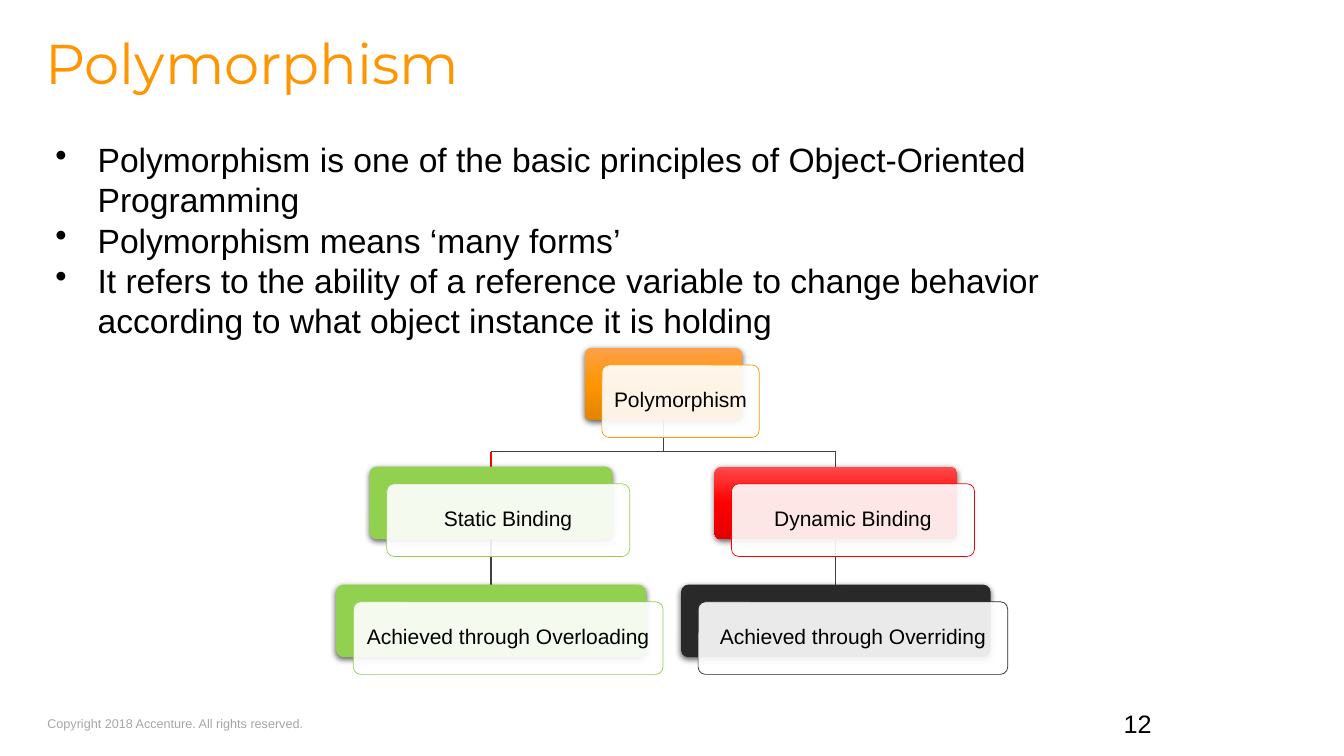
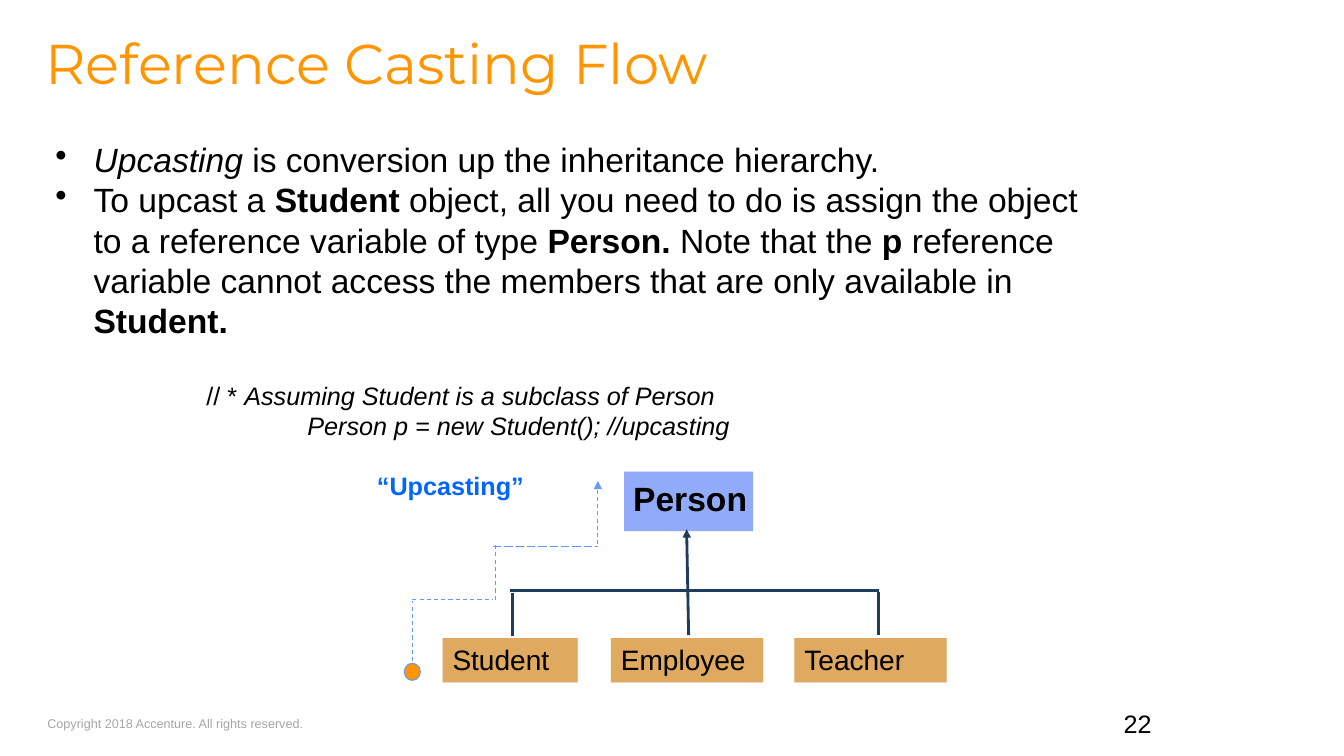
import copy
from typing import NamedTuple, Optional

import lxml.etree
import pptx
import pptx.dml.color
import pptx.enum.dml
import pptx.enum.shapes
import pptx.enum.text
import pptx.oxml.ns
import pptx.util

Inches = pptx.util.Inches
Pt = pptx.util.Pt
RGBColor = pptx.dml.color.RGBColor
Align = pptx.enum.text.PP_ALIGN
Anchor = pptx.enum.text.MSO_ANCHOR
Preset = pptx.enum.shapes.MSO_SHAPE
Dash = pptx.enum.dml.MSO_LINE
qn = pptx.oxml.ns.qn

BLACK = RGBColor(0x00, 0x00, 0x00)
WHITE = RGBColor(0xFF, 0xFF, 0xFF)
ORANGE = RGBColor(0xFF, 0x95, 0x00)
ORANGE_LIGHT = RGBColor(0xFF, 0xA0, 0x4B)
ORANGE_DARK = RGBColor(0xE3, 0x84, 0x00)
RED = RGBColor(0xFF, 0x00, 0x00)
RED_LIGHT = RGBColor(0xFF, 0x4B, 0x4B)
RED_DARK = RGBColor(0xE3, 0x00, 0x00)
GREEN = RGBColor(0x92, 0xD0, 0x50)
CHARCOAL = RGBColor(0x29, 0x29, 0x29)
TREE_LINE = RGBColor(0x40, 0x40, 0x40)
FOOTER_GRAY = RGBColor(0xA6, 0xA6, 0xA6)
SHADOW_GRAY = RGBColor(0x80, 0x80, 0x80)
SHADOW_PALE = RGBColor(0xE7, 0xE6, 0xE6)
PERSON_BLUE = RGBColor(0x33, 0x66, 0xFF)
LABEL_BLUE = RGBColor(0x00, 0x66, 0xFF)
FLOW_BLUE = RGBColor(0x66, 0x99, 0xFF)
NAVY = RGBColor(0x1E, 0x3D, 0x5C)

BODY_FONT = "Arial"
TITLE_FONT = "Montserrat"


class Box(NamedTuple):
    left: float
    top: float
    width: float
    height: float

    def lengths(self) -> list:
        return [Inches(value) for value in self]


class Span(NamedTuple):
    text: str
    bold: bool = False
    italic: bool = False


class Paragraph(NamedTuple):
    spans: list[Span]
    size: float = 24
    color: RGBColor = BLACK
    font: str = BODY_FONT
    align: Align = Align.LEFT
    line_spacing: float = 1.0
    space_before: float = 0
    margin: float = 0
    hanging: float = 0


class Shadow(NamedTuple):
    color: RGBColor
    opacity: int
    blur: float = 0
    distance: float = 0
    angle: int = 0


class Node(NamedTuple):
    text: str
    center: float
    row: int
    width: float
    color: RGBColor
    shades: Optional[tuple[RGBColor, RGBColor]] = None


class Stroke(NamedTuple):
    color: RGBColor
    width: float
    dash: Optional[Dash] = None


class Segment(NamedTuple):
    x1: float
    y1: float
    x2: float
    y2: float
    stroke: Stroke
    arrow: bool = False


class ClassBox(NamedTuple):
    name: str
    left: float
    width: float


TITLE_BOX = Box(0.45, 0.41, 8.32, 1.09)
COPYRIGHT_BOX = Box(0.47, 7.05, 2.57, 0.25)
NUMBER_BOX = Box(9.67, 7.08, 1.85, 0.3)

NODE_HEIGHT = 0.72
NODE_SHIFT = 0.17
ROW_TOPS = [3.45, 4.63, 5.8]
ROOT_X, STATIC_X, DYNAMIC_X = 6.58, 4.87, 8.29
NODE_SHADOW = Shadow(BLACK, 63, 4.5, 1.5, 90)
NODES = [
    Node("Polymorphism", ROOT_X, 0, 1.56, ORANGE, (ORANGE_LIGHT, ORANGE_DARK)),
    Node("Static Binding", STATIC_X, 1, 2.41, GREEN),
    Node("Achieved through Overloading", STATIC_X, 2, 3.07, GREEN),
    Node("Dynamic Binding", DYNAMIC_X, 1, 2.41, RED, (RED_LIGHT, RED_DARK)),
    Node("Achieved through Overriding", DYNAMIC_X, 2, 3.07, CHARCOAL),
]
CLASS_BOXES = [
    ClassBox("Student", 4.39, 1.34),
    ClassBox("Employee", 6.06, 1.51),
    ClassBox("Teacher", 7.88, 1.51),
]


def write(frame, paragraphs: list[Paragraph], insets: tuple = (0.1, 0.05),
          anchor: Anchor = Anchor.TOP, wrap: bool = True) -> None:
    frame.word_wrap = wrap
    frame.vertical_anchor = anchor
    frame.margin_left = frame.margin_right = Inches(insets[0])
    frame.margin_top = frame.margin_bottom = Inches(insets[1])
    for index, content in enumerate(paragraphs):
        para = frame.add_paragraph() if index else frame.paragraphs[0]
        properties = para._p.get_or_add_pPr()
        properties.set("marL", str(Inches(content.margin)))
        properties.set("indent", str(-Inches(content.hanging)))
        if content.hanging:
            lxml.etree.SubElement(properties, qn("a:buChar")).set("char", "•")
        para.alignment = content.align
        para.line_spacing = content.line_spacing
        para.space_before = Pt(content.space_before)
        para.font.size = Pt(content.size)
        for part in content.spans:
            span = para.add_run()
            span.text = part.text
            span.font.name = content.font
            span.font.size = Pt(content.size)
            span.font.color.rgb = content.color
            span.font.bold = part.bold
            span.font.italic = part.italic


def add_text(page, box: Box, paragraphs: list[Paragraph], **options) -> None:
    write(page.shapes.add_textbox(*box.lengths()).text_frame, paragraphs, **options)


def set_opacity(color_element, percent: int) -> None:
    lxml.etree.SubElement(color_element, qn("a:alpha")).set("val", str(percent * 1000))


def add_shape(page, preset: Preset, box: Box, fill: RGBColor, opacity: int = 100,
              stroke: Optional[Stroke] = None, shadow: Optional[Shadow] = None):
    shape = page.shapes.add_shape(preset, *box.lengths())
    shape.shadow.inherit = False
    shape.fill.solid()
    shape.fill.fore_color.rgb = fill
    properties = shape._element.spPr
    if opacity < 100:
        set_opacity(properties.find(qn("a:solidFill"))[0], opacity)
    if stroke:
        shape.line.color.rgb = stroke.color
        shape.line.width = Pt(stroke.width)
    else:
        shape.line.fill.background()
    if shadow:
        outer = lxml.etree.SubElement(properties.find(qn("a:effectLst")), qn("a:outerShdw"))
        outer.set("blurRad", str(Pt(shadow.blur)))
        outer.set("dist", str(Pt(shadow.distance)))
        outer.set("dir", str(shadow.angle * 60000))
        outer.set("rotWithShape", "0")
        color = lxml.etree.SubElement(outer, qn("a:srgbClr"))
        color.set("val", str(shadow.color))
        set_opacity(color, shadow.opacity)
    return shape


def shade(shape, colors: list[RGBColor]) -> None:
    shape.fill.gradient()
    shape.fill.gradient_angle = 270
    stops = shape._element.spPr.find(".//" + qn("a:gsLst"))
    stops.append(copy.deepcopy(stops[0]))
    for index, (stop, color) in enumerate(zip(shape.fill.gradient_stops, colors)):
        stop.position = index / 2
        stop.color.rgb = color


def add_segment(page, segment: Segment) -> None:
    ends = [Inches(value) for value in segment[:4]]
    connector = page.shapes.add_connector(pptx.enum.shapes.MSO_CONNECTOR.STRAIGHT, *ends)
    connector.line.color.rgb = segment.stroke.color
    connector.line.width = Pt(segment.stroke.width)
    if segment.stroke.dash:
        connector.line.dash_style = segment.stroke.dash
    properties = connector._element.spPr
    if segment.arrow:
        line = properties.find(qn("a:ln"))
        lxml.etree.SubElement(line, qn("a:tailEnd")).set("type", "triangle")
    lxml.etree.SubElement(properties, qn("a:effectLst"))


def add_page(deck, title: str, number: str):
    page = deck.slides.add_slide(deck.slide_layouts[6])
    add_text(page, COPYRIGHT_BOX,
             [Paragraph([Span("Copyright 2018 Accenture. All rights reserved.")], 9, FOOTER_GRAY)],
             insets=(0, 0.05), wrap=False)
    add_text(page, NUMBER_BOX, [Paragraph([Span(number)], 18, align=Align.RIGHT)],
             anchor=Anchor.BOTTOM)
    add_text(page, TITLE_BOX,
             [Paragraph([Span(title)], 40, ORANGE, TITLE_FONT, line_spacing=0.8)], insets=(0, 0))
    return page


def add_node(page, node: Node) -> None:
    back = Box(node.center - node.width / 2, ROW_TOPS[node.row], node.width, NODE_HEIGHT)
    front = back._replace(left=back.left + NODE_SHIFT, top=back.top + NODE_SHIFT)
    plate = add_shape(page, Preset.ROUNDED_RECTANGLE, back, node.color, shadow=NODE_SHADOW)
    if node.shades:
        shade(plate, [node.shades[0], node.color, node.shades[1]])
    card = add_shape(page, Preset.ROUNDED_RECTANGLE, front, WHITE, 90, Stroke(node.color, 0.5))
    for shape in (plate, card):
        shape.adjustments[0] = 0.1
    write(card.text_frame,
          [Paragraph([Span(node.text)], 15, align=Align.CENTER, line_spacing=0.9)],
          insets=(0.08, 0.08), anchor=Anchor.MIDDLE)


def build_polymorphism(deck) -> None:
    page = add_page(deck, "Polymorphism", "12")
    points = [
        "Polymorphism is one of the basic principles of Object-Oriented Programming",
        "Polymorphism means ‘many forms’",
        "It refers to the ability of a reference variable to change behavior "
        "according to what object instance it is holding",
    ]
    add_text(page, Box(0.45, 1.33, 10.64, 5.75),
             [Paragraph([Span(point)], margin=0.42, hanging=0.42) for point in points])
    branch = Stroke(TREE_LINE, 0.75)
    fork = 4.48
    add_segment(page, Segment(ROOT_X, ROW_TOPS[0] + NODE_HEIGHT, ROOT_X, fork, branch))
    add_segment(page, Segment(STATIC_X, fork, DYNAMIC_X, fork, branch))
    for center, drop in ((STATIC_X, Stroke(RED, 1)), (DYNAMIC_X, branch)):
        add_segment(page, Segment(center, fork, center, ROW_TOPS[1], drop))
        add_segment(page, Segment(center, ROW_TOPS[1] + NODE_HEIGHT, center, ROW_TOPS[2], branch))
    for node in NODES:
        add_node(page, node)


def build_casting_flow(deck) -> None:
    page = add_page(deck, "Reference Casting Flow", "22")
    upcasting = [Span("Upcasting ", italic=True),
                 Span("is conversion up the inheritance hierarchy.")]
    explanation = [
        Span("To upcast a "), Span("Student", bold=True),
        Span(" object, all you need to do is assign the object to a reference variable of type "),
        Span("Person.", bold=True), Span(" Note that the "), Span("p", bold=True),
        Span(" reference variable cannot access the members that are only available in "),
        Span("Student.", bold=True),
    ]
    comment = [Span("// * "), Span("Assuming Student is a subclass of Person", italic=True)]
    code = [Span("Person p = new Student(); //upcasting", italic=True)]
    add_text(page, Box(0.45, 1.33, 10.64, 2.81), [
        Paragraph(upcasting, margin=0.38, hanging=0.38),
        Paragraph(explanation, margin=0.38, hanging=0.38),
        Paragraph(comment, 18, space_before=28, margin=1.5),
        Paragraph(code, 18, margin=2.5),
    ])

    add_shape(page, Preset.RECTANGLE, Box(6.19, 4.68, 1.28, 0.59), PERSON_BLUE, 50,
              shadow=Shadow(SHADOW_PALE, 50))
    add_text(page, Box(6.28, 4.69, 1.17, 0.51), [Paragraph([Span("Person", bold=True)])],
             insets=(0, 0.05))
    add_text(page, Box(3.64, 4.62, 1.82, 0.4),
             [Paragraph([Span("“Upcasting”", bold=True)], 18, LABEL_BLUE)])

    add_shape(page, Preset.OVAL, Box(4.01, 6.58, 0.16, 0.17), ORANGE,
              stroke=Stroke(FLOW_BLUE, 0.75))
    dashed = Stroke(FLOW_BLUE, 0.75, Dash.DASH)
    solid = Stroke(NAVY, 2)
    for segment in [
        Segment(4.09, 6.56, 4.09, 5.96, dashed),
        Segment(4.09, 5.95, 4.89, 5.95, dashed),
        Segment(4.91, 5.95, 4.91, 5.4, dashed),
        Segment(4.89, 5.42, 5.93, 5.42, Stroke(FLOW_BLUE, 0.75, Dash.LONG_DASH)),
        Segment(5.93, 5.4, 5.93, 4.77, dashed, True),
        Segment(6.83, 6.3, 6.81, 5.25, solid, True),
        Segment(5.06, 5.86, 8.72, 5.86, solid),
        Segment(5.08, 6.31, 5.08, 5.88, solid),
        Segment(8.71, 6.3, 8.71, 5.87, solid),
    ]:
        add_segment(page, segment)

    for item in CLASS_BOXES:
        shape = add_shape(page, Preset.RECTANGLE, Box(item.left, 6.33, item.width, 0.44),
                          ORANGE, 50, shadow=Shadow(SHADOW_GRAY, 50))
        write(shape.text_frame, [Paragraph([Span(item.name)], 20)])


def main() -> None:
    deck = pptx.Presentation()
    deck.slide_width = Inches(13.33)
    deck.slide_height = Inches(7.5)
    build_polymorphism(deck)
    build_casting_flow(deck)
    deck.save("out.pptx")


if __name__ == "__main__":
    main()
